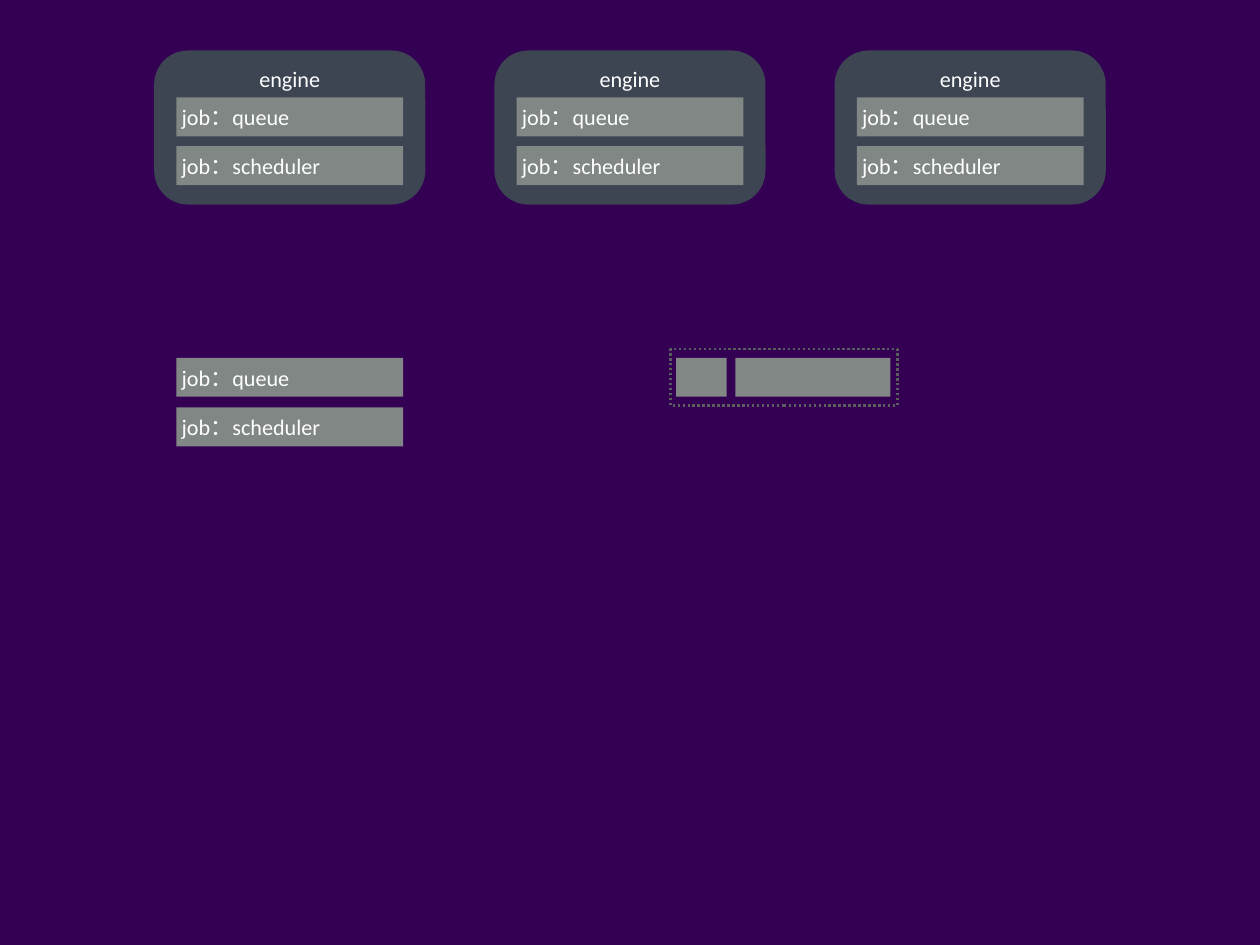
import pptx
import pptx.dml.color
import pptx.enum.dml
import pptx.enum.shapes
import pptx.enum.text
import pptx.util

WIDE, HIGH = 14.22, 10.67
LEFT, STEP, PAD = 1.74, 3.84, 0.25
BAR_W, BAR_H = 2.56, 0.44
JOBS = ("job：queue", "job：scheduler")
GREY, SLATE, WHITE = "808785", "3D4553", "FFFFFF"
SHAPE = pptx.enum.shapes.MSO_SHAPE
ALIGN = pptx.enum.text.PP_ALIGN
ANCHOR = pptx.enum.text.MSO_ANCHOR


def tint(color, code):
    """Set a colour format from a hex string."""
    color.rgb = pptx.dml.color.RGBColor.from_string(code)


def box(slide, kind, x, y, w, h, fill=None):
    """Add a flat shape, placed in inches, with an optional fill."""
    shape = slide.shapes.add_shape(kind, *map(pptx.util.Inches, (x, y, w, h)))
    shape.shadow.inherit = False
    shape.line.fill.background()
    if fill:
        shape.fill.solid()
        tint(shape.fill.fore_color, fill)
    else:
        shape.fill.background()
    return shape


def label(shape, text, align, anchor):
    """Write one run of white text in a shape."""
    frame = shape.text_frame
    frame.word_wrap = True
    frame.vertical_anchor = anchor
    inset = pptx.util.Inches(0.06)
    frame.margin_left = frame.margin_right = inset
    frame.margin_top = frame.margin_bottom = inset
    para = frame.paragraphs[0]
    para.alignment = align
    run = para.add_run()
    run.text = text
    run.font.name = "Calibri"
    run.font.size = pptx.util.Pt(18)
    tint(run.font.color, WHITE)


def jobs(slide, x, y, step):
    """Stack one bar for each job."""
    for row, name in enumerate(JOBS):
        bar = box(slide, SHAPE.RECTANGLE, x, y + row * step, BAR_W, BAR_H, GREY)
        label(bar, name, ALIGN.LEFT, ANCHOR.MIDDLE)


def engine(slide, col):
    """Draw an engine and its jobs in a grid column."""
    x, y = LEFT + col * STEP, 0.57
    panel = box(slide, SHAPE.ROUNDED_RECTANGLE, x, y, BAR_W + 2 * PAD, 1.74, SLATE)
    panel.adjustments[0] = 0.22
    label(panel, "engine", ALIGN.CENTER, ANCHOR.TOP)
    jobs(slide, x + PAD, y + 0.53, 0.55)


def slot(slide, x, y):
    """Draw a dotted frame around two empty bars."""
    for left, width in ((0.06, 0.57), (0.73, 1.75)):
        box(slide, SHAPE.RECTANGLE, x + left, y + 0.1, width, BAR_H, GREY)
    frame = box(slide, SHAPE.RECTANGLE, x, y, BAR_W, BAR_H + 0.2)
    tint(frame.line.color, "5A5F5E")
    frame.line.width = pptx.util.Pt(2)
    frame.line.dash_style = pptx.enum.dml.MSO_LINE.ROUND_DOT


def main():
    """Build and save the slide."""
    deck = pptx.Presentation()
    deck.slide_width = pptx.util.Inches(WIDE)
    deck.slide_height = pptx.util.Inches(HIGH)
    slide = deck.slides.add_slide(deck.slide_layouts[6])
    slide.background.fill.solid()
    tint(slide.background.fill.fore_color, "340053")
    for col in range(3):
        engine(slide, col)
    jobs(slide, LEFT + PAD, 4.04, 0.56)
    slot(slide, 7.57, 3.94)
    deck.save("out.pptx")


if __name__ == "__main__":
    main()
